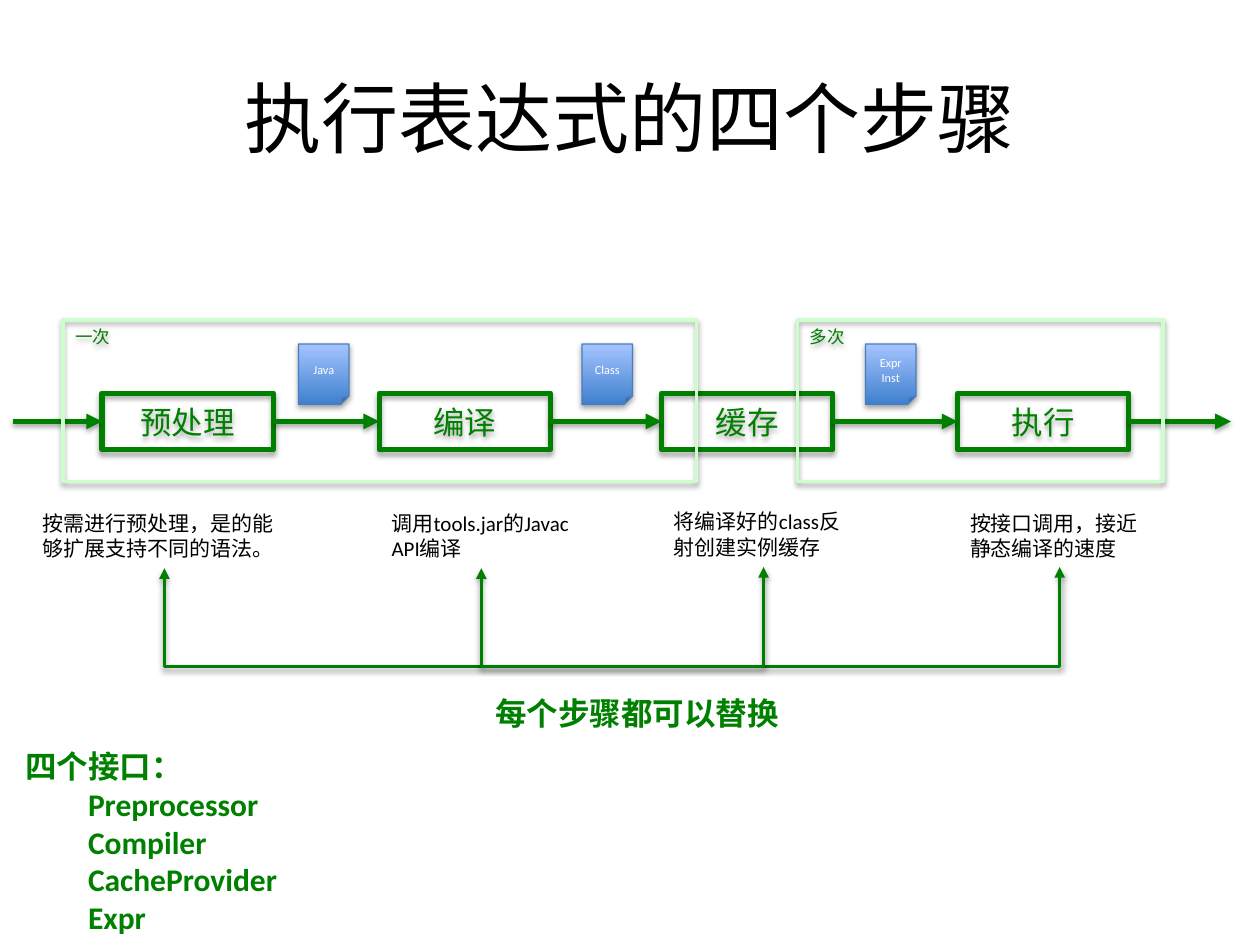
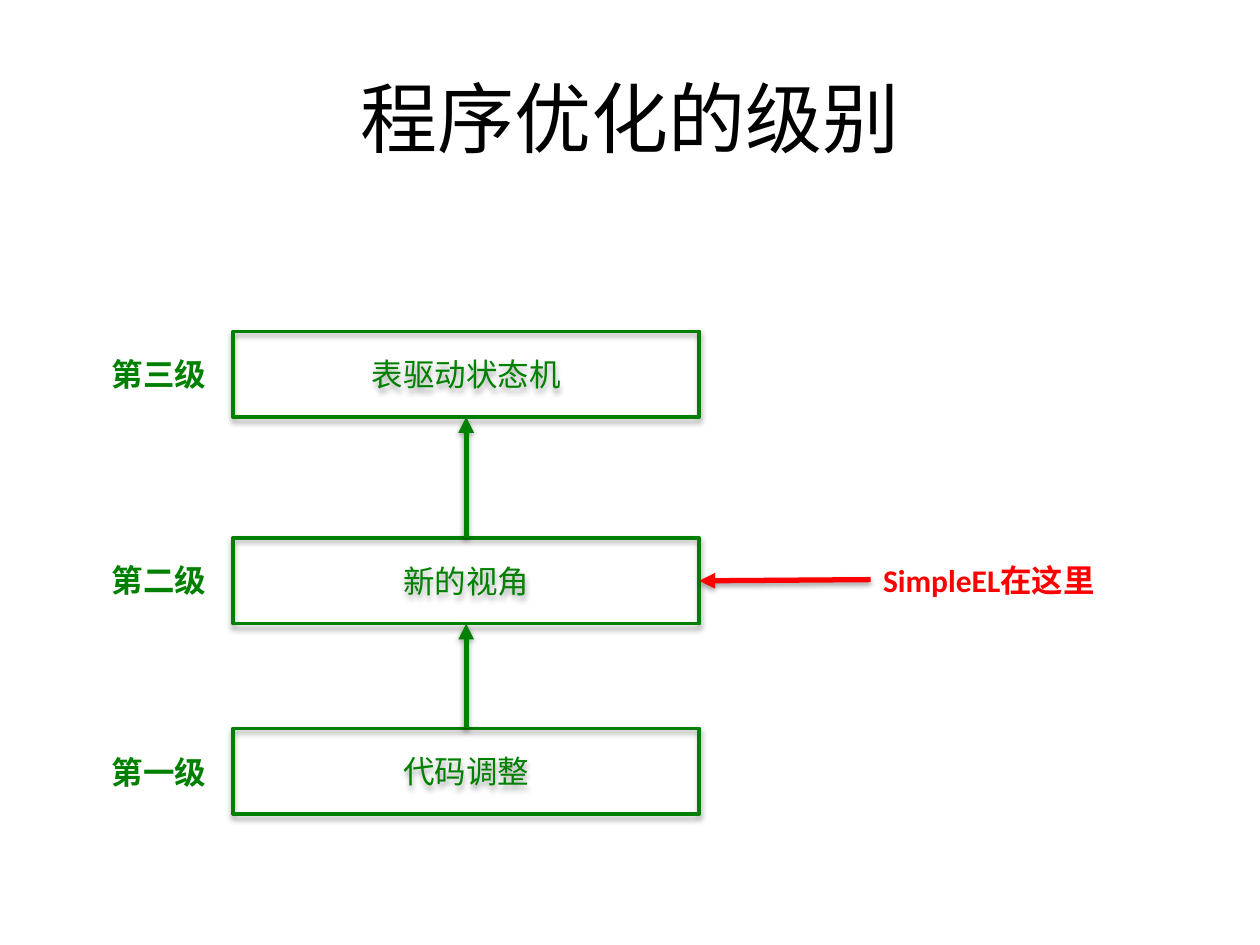
from lxml import etree
from pptx import Presentation
from pptx.dml.color import RGBColor
from pptx.enum import shapes, text
from pptx.oxml.ns import qn
from pptx.util import Inches, Pt

GREEN, PALE, RED, BLACK, WHITE = "008000", "CCFFCC", "FF0000", "000000", "FFFFFF"
FONT = "Calibri"
LEFT, MID = text.PP_ALIGN.LEFT, text.PP_ALIGN.CENTER

# Slide 1: step name, left of box, note, left, top and width of note
STEPS = [
    ("预处理", 0.81, "按需进行预处理，是的能够扩展支持不同的语法。", 0.24, 4.0, 2.13),
    ("编译", 3.01, "调用tools.jar的Javac API编译", 3.01, 4.0, 1.62),
    ("缓存", 5.25, "将编译好的class反射创建实例缓存", 5.25, 3.99, 1.62),
    ("执行", 7.6, "按接口调用，接近静态编译的速度", 7.6, 4.0, 1.62),
]
STEP_TOP, STEP_W, STEP_H = 3.12, 1.36, 0.45
PHASES = [("一次", 0.5, 5.03), ("多次", 6.33, 2.9)]
FILES = [("Java", 2.37), ("Class", 4.62), ("Expr\nInst", 6.87)]
FACES = ["四个接口：", "Preprocessor", "Compiler", "CacheProvider", "Expr"]

# Slide 2: level, label, top of box, top of level text; lowest first
LEVELS = [
    ("第一级", "代码调整", 5.78, 5.93),
    ("第二级", "新的视角", 4.27, 4.4),
    ("第三级", "表驱动状态机", 2.63, 2.77),
]


def color(value):
    return RGBColor.from_string(value)


def shade(shape, alpha=35, drop=23000):
    """Add a soft shadow below; call once the line is set."""
    effect = etree.SubElement(shape._element.spPr, qn("a:effectLst"))
    outer = etree.SubElement(effect, qn("a:outerShdw"), blurRad="40000",
                             dist=str(drop), dir="5400000", rotWithShape="0")
    tint = etree.SubElement(outer, qn("a:srgbClr"), val=BLACK)
    etree.SubElement(tint, qn("a:alpha"), val=str(alpha * 1000))


def stroke(shape, hue, width, *ends):
    """Set the line, with triangles at the given ends."""
    shape.line.color.rgb = color(hue)
    shape.line.width = Pt(width)
    for end in ends:
        etree.SubElement(shape.line._get_or_add_ln(), qn("a:" + end), type="triangle")


def write(shape, words, size, hue, align=LEFT, bold=False):
    frame = shape.text_frame
    frame.text = words
    for para in frame.paragraphs:
        para.alignment = align
        for run in para.runs:
            font = run.font
            font.name, font.size, font.bold = FONT, Pt(size), bold
            font.color.rgb = color(hue)
    return frame


def label(slide, words, x, y, w, h, size=18, hue=GREEN, align=LEFT, bold=True, wrap=True):
    shape = slide.shapes.add_textbox(*map(Inches, (x, y, w, h)))
    write(shape, words, size, hue, align, bold).word_wrap = wrap
    return shape


def box(slide, words, x, y, w, h, width, hue=GREEN, size=18, ink=GREEN,
        align=MID, kind=shapes.MSO_SHAPE.RECTANGLE):
    shape = slide.shapes.add_shape(kind, *map(Inches, (x, y, w, h)))
    shape.fill.background()
    stroke(shape, hue, width)
    shade(shape)
    write(shape, words, size, ink, align)
    return shape


def arrow(slide, start, stop, hue=GREEN):
    """Each end is an (x, y) point or a (shape, side) pair."""
    spots = [(0, 0) if hasattr(end[0], "text_frame") else end for end in (start, stop)]
    line = slide.shapes.add_connector(shapes.MSO_CONNECTOR.STRAIGHT,
                                      *[Inches(n) for spot in spots for n in spot])
    for end, join in ((start, line.begin_connect), (stop, line.end_connect)):
        if hasattr(end[0], "text_frame"):
            join(*end)
    stroke(line, hue, 3, "tailEnd")
    shade(line, 38, 20000)


def fork(slide, left, right, top=4.5, base=5.29):
    """Draw a bracket with an arrow at both tips."""
    pen = slide.shapes.build_freeform(Inches(right), Inches(top), scale=1.0)
    turns = [(right, base), (left, base), (left, top + 0.01)]
    pen.add_line_segments([(Inches(x), Inches(y)) for x, y in turns], close=False)
    shape = pen.convert_to_shape()
    shape.fill.background()
    stroke(shape, GREEN, 2, "headEnd", "tailEnd")
    shade(shape, 38, 20000)


def start(deck, title):
    slide = deck.slides.add_slide(deck.slide_layouts[6])
    head = label(slide, title, 0.5, 0.3, 9, 1.25, 44, BLACK, MID, False)
    head.text_frame.vertical_anchor = text.MSO_ANCHOR.MIDDLE
    return slide


def steps(deck):
    slide = start(deck, "执行表达式的四个步骤")

    # Chain of steps
    row = [box(slide, name, x, STEP_TOP, STEP_W, STEP_H, 3) for name, x, *_ in STEPS]
    flow = STEP_TOP + STEP_H / 2
    for one, two in zip(row, row[1:]):
        arrow(slide, (one, 3), (two, 1))
    arrow(slide, (0.1, flow), (row[0], 1))
    arrow(slide, (row[-1], 3), (9.77, flow))

    # Phase frames
    for name, x, w in PHASES:
        frame = box(slide, name, x, 2.54, w, 1.28, 2, PALE, 10, align=LEFT)
        frame.text_frame.vertical_anchor = text.MSO_ANCHOR.TOP

    # Notes and the brackets under them
    for _, _, note, x, y, w in STEPS:
        label(slide, note, x, y, w, 0.5, 12, BLACK, bold=False)
    mids = [x + w / 2 for *_, x, _, w in STEPS]
    fork(slide, mids[0], mids[3])
    fork(slide, mids[1], mids[2])
    label(slide, "每个步骤都可以替换", 3.81, 5.46, 2.49, 0.4, align=MID, wrap=False)

    # Interfaces
    faces = label(slide, "\n".join(FACES), 0.1, 5.88, 2.45, 1.62)
    for para in faces.text_frame.paragraphs[1:]:
        para.level = 1

    # Files passed along
    for name, x in FILES:
        page = box(slide, name, x, 2.73, 0.4, 0.48, 0.75, "4B7EBC", 7, WHITE,
                   kind=shapes.MSO_SHAPE.FOLDED_CORNER)
        page.fill.gradient()
        page.fill.gradient_angle = 90
        for stop, hue in zip(page.fill.gradient_stops, ("3F80CE", "A4C4FF")):
            stop.color.rgb = color(hue)
        # Let the short words fit the small page
        page.text_frame.margin_left = page.text_frame.margin_right = 0


def levels(deck):
    slide = start(deck, "程序优化的级别")

    # Stack of levels
    stack = [box(slide, name, 1.85, y, 3.7, 0.68, 2) for _, name, y, _ in LEVELS]
    for low, high in zip(stack, stack[1:]):
        arrow(slide, (low, 0), (high, 2))
    for level, _, _, y in LEVELS:
        label(slide, level, 0.79, y, 1.06, 0.4)

    # Marker
    here = label(slide, "SimpleEL在这里", 6.91, 4.4, 2.05, 0.4, hue=RED)
    arrow(slide, (here, 1), (stack[1], 3), RED)


def main():
    deck = Presentation()
    deck.slide_width, deck.slide_height = Inches(10), Inches(7.5)
    steps(deck)
    levels(deck)
    deck.save("out.pptx")


if __name__ == "__main__":
    main()
